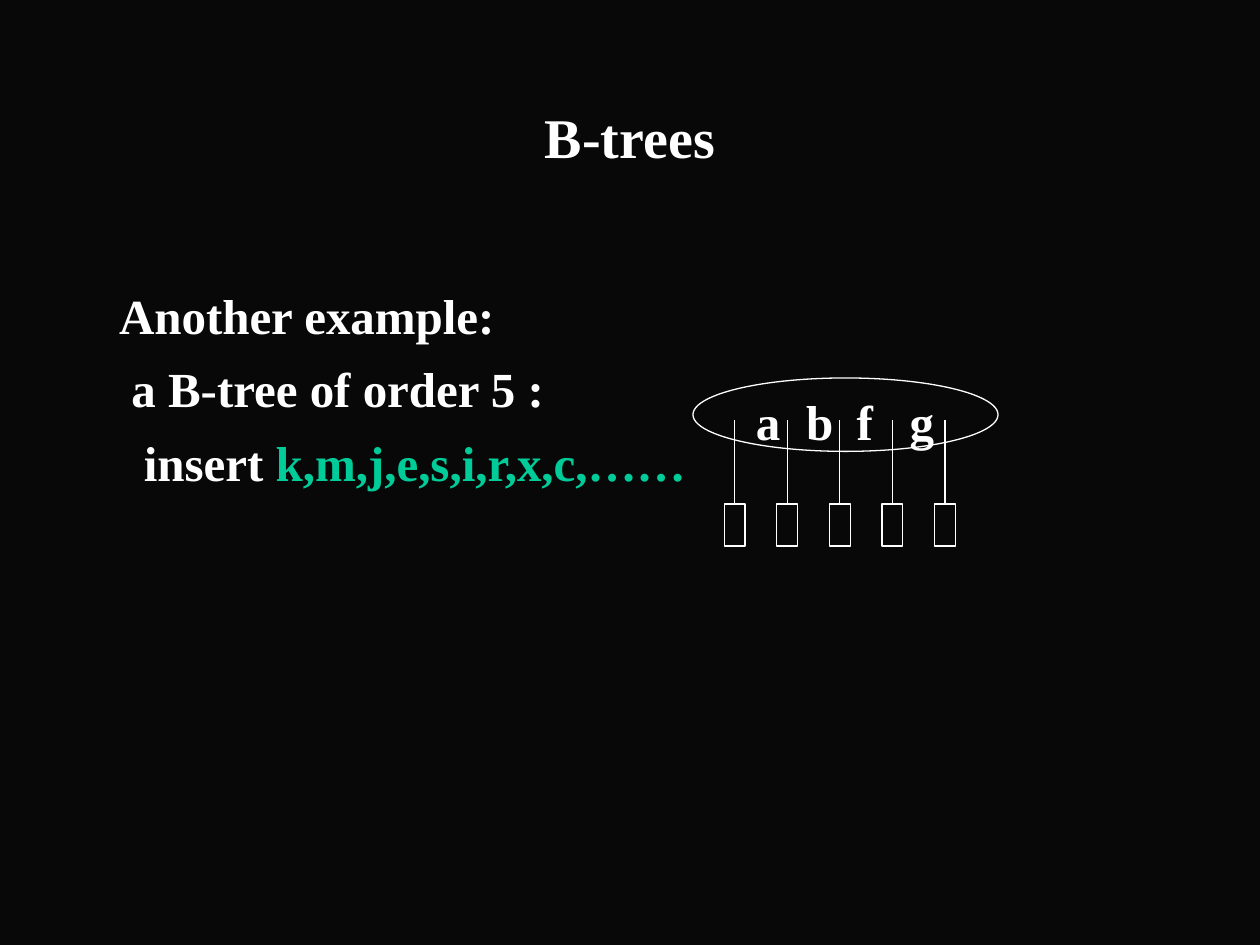
from lxml import etree
from pptx import Presentation
from pptx.dml.color import RGBColor
from pptx.enum.shapes import MSO_CONNECTOR, MSO_SHAPE
from pptx.enum.text import MSO_ANCHOR, PP_ALIGN
from pptx.oxml.ns import qn
from pptx.util import Cm, Pt

BLACK = RGBColor(0x08, 0x08, 0x08)
WHITE = RGBColor(0xFF, 0xFF, 0xFF)
GREEN = RGBColor(0x00, 0xCC, 0x99)
FONT = "Times New Roman"
LINE_WIDTH = Pt(0.75)

STATEMENT = [
    [("Another example:", WHITE)],
    [("a B-tree of order 5 :", WHITE)],
    [("insert ", WHITE), ("k,m,j,e,s,i,r,x,c,……", GREEN)],
]
INDENT_STEP = 0.25
KEYS = ["a", "b", "f", "g"]
KEY_TABS = [1.01, 2.03, 3.1]

LEAF_COUNT = 5
LEAF_PITCH = 1.06
LEAF_WIDTH, LEAF_HEIGHT = 0.42, 0.85
FIRST_LEAF_LEFT, LEAF_TOP = 14.6, 10.16
BRANCH_TOP = 8.47


def format_paragraph(paragraph, size, color=WHITE):
    font = paragraph.font
    font.name, font.size, font.bold = FONT, Pt(size), True
    font.color.rgb = color


def set_outline(shape):
    shape.shadow.inherit = False
    shape.fill.background()
    shape.line.color.rgb = WHITE
    shape.line.width = LINE_WIDTH


def add_title(slide, text):
    title = slide.shapes.title
    title.left, title.top = Cm(1.9), Cm(1.7)
    title.width, title.height = Cm(21.6), Cm(2.1)
    frame = title.text_frame
    frame.text = text
    frame.vertical_anchor = MSO_ANCHOR.MIDDLE
    frame.paragraphs[0].alignment = PP_ALIGN.CENTER
    format_paragraph(frame.paragraphs[0], 32)


def add_statement(slide):
    """Add the example's lines, each indented one step further."""
    statement = slide.shapes.add_textbox(Cm(1.9), Cm(5.5), Cm(21.6), Cm(11.43))
    frame = statement.text_frame
    frame.word_wrap = True
    frame.margin_top = Cm(0.25)
    for level, parts in enumerate(STATEMENT):
        paragraph = frame.add_paragraph() if level else frame.paragraphs[0]
        indent = Cm(INDENT_STEP * (level + 1))
        paragraph._p.get_or_add_pPr().set("marL", str(indent))
        if level:
            paragraph.space_before = Pt(8.4)
        format_paragraph(paragraph, 28)
        for text, color in parts:
            run = paragraph.add_run()
            run.text = text
            run.font.color.rgb = color


def add_root(slide):
    """Add the root node with its keys set on tab stops."""
    root = slide.shapes.add_shape(
        MSO_SHAPE.OVAL, Cm(13.97), Cm(7.62), Cm(6.15), Cm(1.48))
    set_outline(root)
    frame = root.text_frame
    frame.word_wrap = True
    frame.vertical_anchor = MSO_ANCHOR.MIDDLE
    frame.margin_left, frame.margin_right = Cm(0.37), 0
    frame.margin_top, frame.margin_bottom = Cm(0.25), 0
    keys = frame.paragraphs[0]
    keys.text = "\t".join(KEYS)
    keys.alignment = PP_ALIGN.LEFT
    tabs = etree.SubElement(keys._p.get_or_add_pPr(), qn("a:tabLst"))
    for position in KEY_TABS:
        etree.SubElement(tabs, qn("a:tab"), pos=str(Cm(position)), algn="l")
    format_paragraph(keys, 28)


def add_leaf(slide, left):
    leaf = slide.shapes.add_shape(
        MSO_SHAPE.RECTANGLE, Cm(left), Cm(LEAF_TOP), Cm(LEAF_WIDTH), Cm(LEAF_HEIGHT))
    set_outline(leaf)
    return leaf


def add_branch(slide, leaf):
    center = leaf.left + leaf.width // 2
    branch = slide.shapes.add_connector(
        MSO_CONNECTOR.STRAIGHT, center, Cm(BRANCH_TOP), center, leaf.top)
    branch.end_connect(leaf, 0)
    branch.line.color.rgb = WHITE
    branch.line.width = LINE_WIDTH
    etree.SubElement(branch._element.spPr, qn("a:effectLst"))


def main():
    presentation = Presentation()
    presentation.slide_width, presentation.slide_height = Cm(25.4), Cm(19.05)
    slide = presentation.slides.add_slide(presentation.slide_layouts[5])
    slide.background.fill.solid()
    slide.background.fill.fore_color.rgb = BLACK

    add_title(slide, "B-trees")
    add_statement(slide)
    add_root(slide)
    for index in range(LEAF_COUNT):
        leaf = add_leaf(slide, FIRST_LEAF_LEFT + index * LEAF_PITCH)
        add_branch(slide, leaf)

    presentation.save("out.pptx")


if __name__ == "__main__":
    main()
